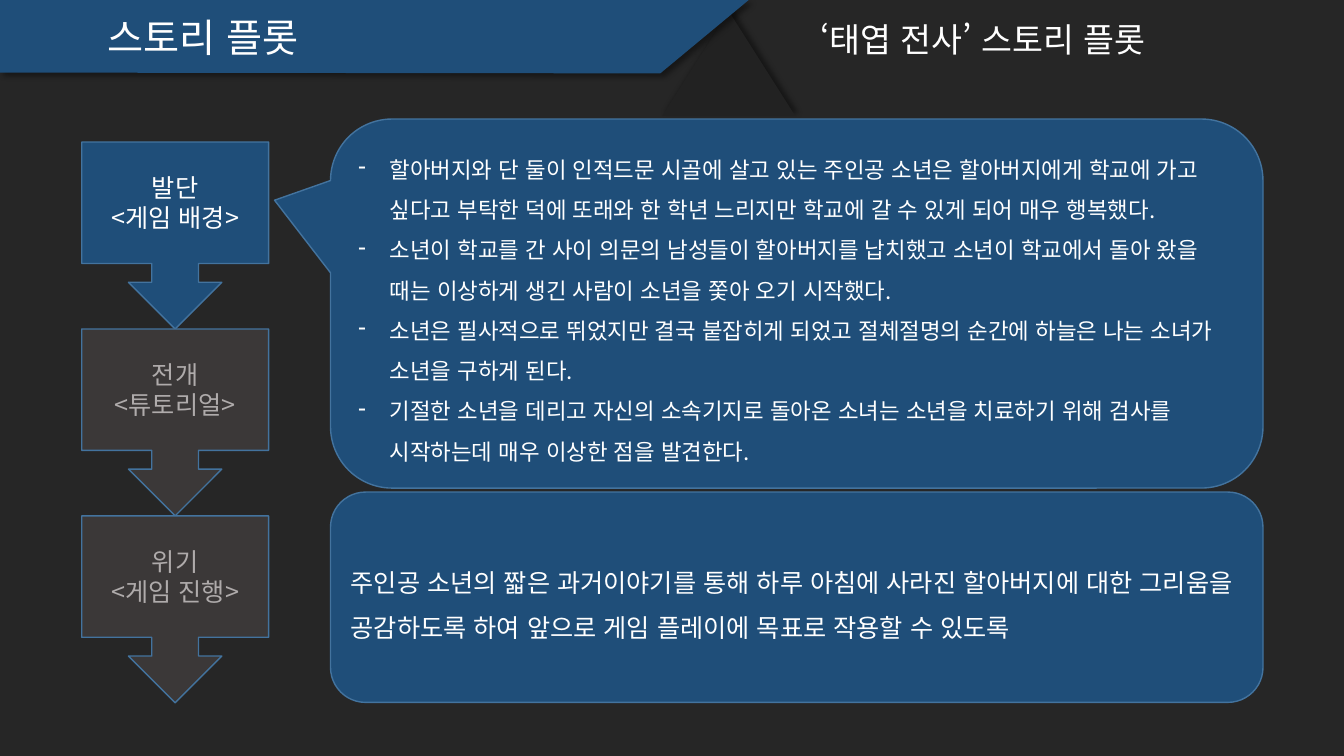
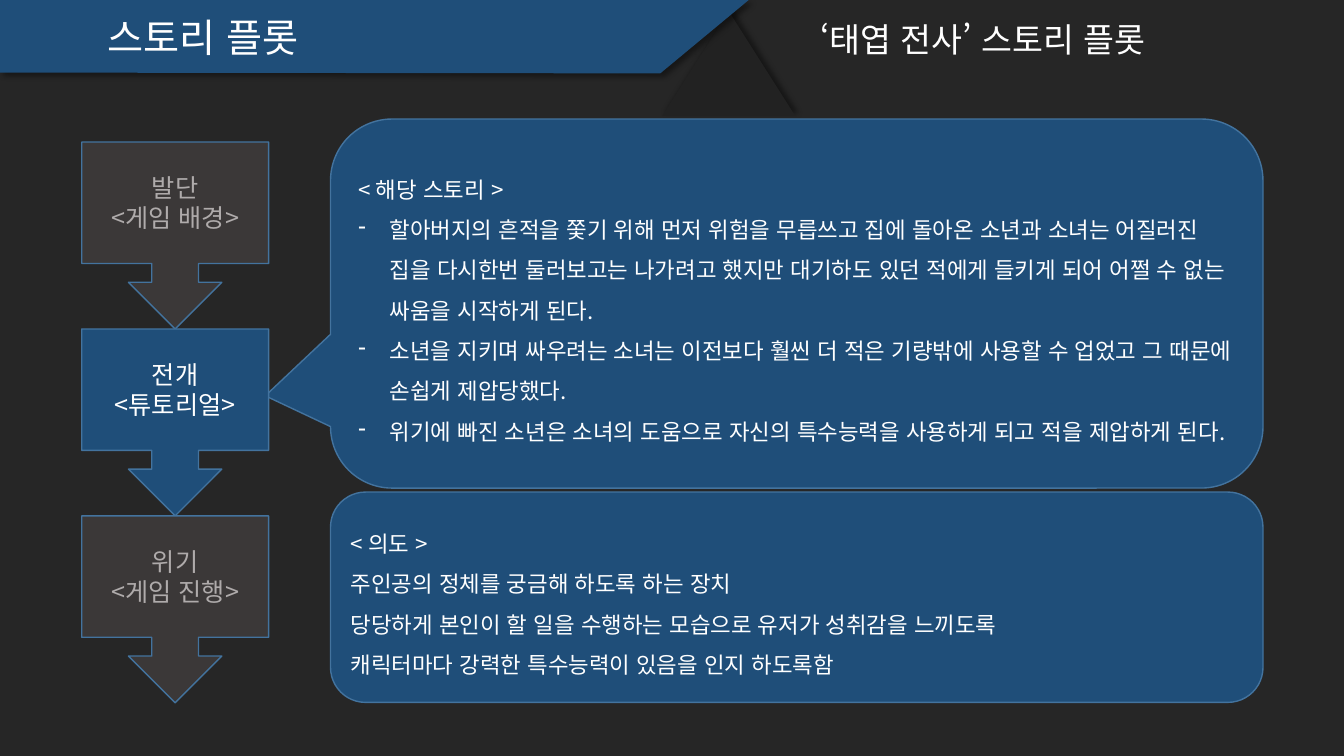
from dataclasses import dataclass

from lxml.etree import SubElement
from pptx import Presentation
from pptx.dml.color import RGBColor
from pptx.enum.lang import MSO_LANGUAGE_ID as Language
from pptx.enum.shapes import MSO_SHAPE as Preset
from pptx.enum.text import MSO_ANCHOR as Anchor
from pptx.enum.text import MSO_AUTO_SIZE as AutoSize
from pptx.enum.text import PP_ALIGN as Align
from pptx.oxml.ns import qn
from pptx.shapes.autoshape import Shape
from pptx.slide import Slide, SlideLayout
from pptx.text.text import TextFrame
from pptx.util import Cm, Pt

FONT = "Noto Sans CJK KR"
COLORS = {
    "background": "262626",
    "triangle": "222222",
    "active": "1F4E79",
    "inactive": "3B3838",
    "outline": "43739E",
    "text": "FFFFFF",
    "muted": "AFABAB",
    "shadow": "000000",
}


@dataclass(frozen=True)
class Box:
    """Left, top, width and height in centimetres."""
    left: float
    top: float
    width: float
    height: float

    def lengths(self) -> tuple[Cm, Cm, Cm, Cm]:
        return Cm(self.left), Cm(self.top), Cm(self.width), Cm(self.height)


@dataclass(frozen=True)
class Line:
    text: str
    bullet: bool = False


@dataclass(frozen=True)
class PlotSlide:
    active_stage: int
    pointer: tuple[float, float]
    story: list[Line]
    intent: list[Line]
    intent_size: int


# Shared layout and text
TITLE = "스토리 플롯"
SUBTITLE = "‘태엽 전사’ 스토리 플롯"
STAGES = [("발단", "<게임 배경>"), ("전개", "<튜토리얼>"), ("위기", "<게임 진행>")]
TITLE_BOX = Box(2.46, 0.2, 5.84, 1.45)
SUBTITLE_BOX = Box(20.42, 0.36, 9.5, 1.27)
TRIANGLE_BOX = Box(16.69, 0.28, 3.35, 2.64)
BAND_POINTS = [(0, 0), (18.87, 0), (16.64, 1.85), (0, 1.83)]
STAGE_BOX = Box(2.06, 3.58, 4.71, 4.71)
STORY_BOX = Box(8.33, 3, 23.5, 9.3)
INTENT_BOX = Box(8.33, 12.4, 23.5, 5.3)
BULLET_INDENT = Cm(0.79)

SLIDES = [
    PlotSlide(
        active_stage=0,
        pointer=(-0.56, -0.28),
        story=[
            Line("할아버지와 단 둘이 인적드문 시골에 살고 있는 주인공 소년은 할아버지에게 학교에 가고 "
                 "싶다고 부탁한 덕에 또래와 한 학년 느리지만 학교에 갈 수 있게 되어 매우 행복했다.", True),
            Line("소년이 학교를 간 사이 의문의 남성들이 할아버지를 납치했고 소년이 학교에서 돌아 왔을 "
                 "때는 이상하게 생긴 사람이 소년을 쫓아 오기 시작했다.", True),
            Line("소년은 필사적으로 뛰었지만 결국 붙잡히게 되었고 절체절명의 순간에 하늘은 나는 소녀가 "
                 "소년을 구하게 된다.", True),
            Line("기절한 소년을 데리고 자신의 소속기지로 돌아온 소녀는 소년을 치료하기 위해 검사를 "
                 "시작하는데 매우 이상한 점을 발견한다.", True),
        ],
        intent=[
            Line("주인공 소년의 짧은 과거이야기를 통해 하루 아침에 사라진 할아버지에 대한 그리움을 "
                 "공감하도록 하여 앞으로 게임 플레이에 목표로 작용할 수 있도록"),
        ],
        intent_size=18,
    ),
    PlotSlide(
        active_stage=1,
        pointer=(-0.57, 0.25),
        story=[
            Line("< 해당 스토리 >"),
            Line("할아버지의 흔적을 쫓기 위해 먼저 위험을 무릅쓰고 집에 돌아온 소년과 소녀는 어질러진 "
                 "집을 다시한번 둘러보고는 나가려고 했지만 대기하도 있던 적에게 들키게 되어 어쩔 수 없는 "
                 "싸움을 시작하게 된다.", True),
            Line("소년을 지키며 싸우려는 소녀는 이전보다 훨씬 더 적은 기량밖에 사용할 수 업었고 그 때문에 "
                 "손쉽게 제압당했다.", True),
            Line("위기에 빠진 소년은 소녀의 도움으로 자신의 특수능력을 사용하게 되고 적을 제압하게 된다.", True),
        ],
        intent=[
            Line("< 의도 >"),
            Line("주인공의 정체를 궁금해 하도록 하는 장치"),
            Line("당당하게 본인이 할 일을 수행하는 모습으로 유저가 성취감을 느끼도록"),
            Line("캐릭터마다 강력한 특수능력이 있음을 인지 하도록함"),
        ],
        intent_size=16,
    ),
]


def color(name: str) -> RGBColor:
    return RGBColor.from_string(COLORS[name])


def write_lines(frame: TextFrame, lines: list[Line], size: int, text_color: str = "text",
                align: Align = Align.LEFT, spacing: float = 1.0) -> None:
    frame.word_wrap = True
    frame.auto_size = AutoSize.NONE
    for index, line in enumerate(lines):
        paragraph = frame.paragraphs[0] if index == 0 else frame.add_paragraph()
        paragraph.text = line.text
        paragraph.alignment = align
        paragraph.line_spacing = spacing
        if line.bullet:
            properties = paragraph._p.get_or_add_pPr()
            properties.set("marL", str(BULLET_INDENT))
            properties.set("indent", str(-BULLET_INDENT))
            SubElement(properties, qn("a:buChar"), char="-")
        font = paragraph.font
        font.name = FONT
        font.size = Pt(size)
        font.color.rgb = color(text_color)
        font.language_id = Language.KOREAN
        for defaults in paragraph._p.iter(qn("a:defRPr")):
            SubElement(defaults, qn("a:ea"), typeface=FONT)


def style_shape(shape: Shape, fill: str, outline: str | None = None) -> None:
    shape.shadow.inherit = False
    shape.fill.solid()
    shape.fill.fore_color.rgb = color(fill)
    if outline:
        shape.line.color.rgb = color(outline)
        shape.line.width = Pt(1)
    else:
        shape.line.fill.background()


def add_panel(slide: Slide, preset: Preset, box: Box, fill: str = "active") -> Shape:
    shape = slide.shapes.add_shape(preset, *box.lengths())
    style_shape(shape, fill, "outline")
    shape.text_frame.vertical_anchor = Anchor.MIDDLE
    return shape


def cast_shadow(shape: Shape, degrees: int) -> None:
    effects = shape.element.spPr.find(qn("a:effectLst"))
    shadow = SubElement(effects, qn("a:outerShdw"), blurRad=str(Pt(4)), dist=str(Pt(3)),
                        dir=str(degrees * 60000), rotWithShape="0")
    shade = SubElement(shadow, qn("a:srgbClr"), val=COLORS["shadow"])
    SubElement(shade, qn("a:alpha"), val="40000")


def decorate_layout(layout: SlideLayout, slide: Slide) -> None:
    """Draw the triangle and title band on a slide, then move them to its layout."""
    layout.background.fill.solid()
    layout.background.fill.fore_color.rgb = color("background")
    triangle = slide.shapes.add_shape(Preset.ISOSCELES_TRIANGLE, *TRIANGLE_BOX.lengths())
    start, *corners = [(Cm(x), Cm(y)) for x, y in BAND_POINTS]
    builder = slide.shapes.build_freeform(*start)
    builder.add_line_segments(corners, close=True)
    band = builder.convert_to_shape()
    for shape, fill, degrees in ((triangle, "triangle", 315), (band, "active", 45)):
        style_shape(shape, fill)
        cast_shadow(shape, degrees)
        layout.shapes.element.append(shape.element)


def add_headings(slide: Slide) -> None:
    title = slide.shapes.title
    title.left, title.top, title.width, title.height = TITLE_BOX.lengths()
    title.text_frame.vertical_anchor = Anchor.TOP
    write_lines(title.text_frame, [Line(TITLE)], 28)
    subtitle = slide.shapes.add_textbox(*SUBTITLE_BOX.lengths())
    write_lines(subtitle.text_frame, [Line(SUBTITLE)], 24)


def add_stages(slide: Slide, active_stage: int) -> None:
    for index, labels in enumerate(STAGES):
        active = index == active_stage
        box = Box(STAGE_BOX.left, STAGE_BOX.top + index * STAGE_BOX.height,
                  STAGE_BOX.width, STAGE_BOX.height)
        stage = add_panel(slide, Preset.DOWN_ARROW_CALLOUT, box, "active" if active else "inactive")
        write_lines(stage.text_frame, [Line(label) for label in labels], 18,
                    "text" if active else "muted", Align.CENTER)


def fill_slide(slide: Slide, content: PlotSlide) -> None:
    add_headings(slide)
    # Story callout pointing at the active stage
    story = add_panel(slide, Preset.ROUNDED_RECTANGULAR_CALLOUT, STORY_BOX)
    story.adjustments[0], story.adjustments[1] = content.pointer
    write_lines(story.text_frame, content.story, 16, spacing=1.5)
    add_stages(slide, content.active_stage)
    # Design intent
    intent = add_panel(slide, Preset.ROUNDED_RECTANGLE, INTENT_BOX)
    write_lines(intent.text_frame, content.intent, content.intent_size, spacing=1.5)


def main() -> None:
    presentation = Presentation()
    presentation.slide_width, presentation.slide_height = Cm(33.87), Cm(19.05)
    layout = presentation.slide_layouts[5]
    for index, content in enumerate(SLIDES):
        slide = presentation.slides.add_slide(layout)
        if index == 0:
            decorate_layout(layout, slide)
        fill_slide(slide, content)
    presentation.save("out.pptx")


if __name__ == "__main__":
    main()
